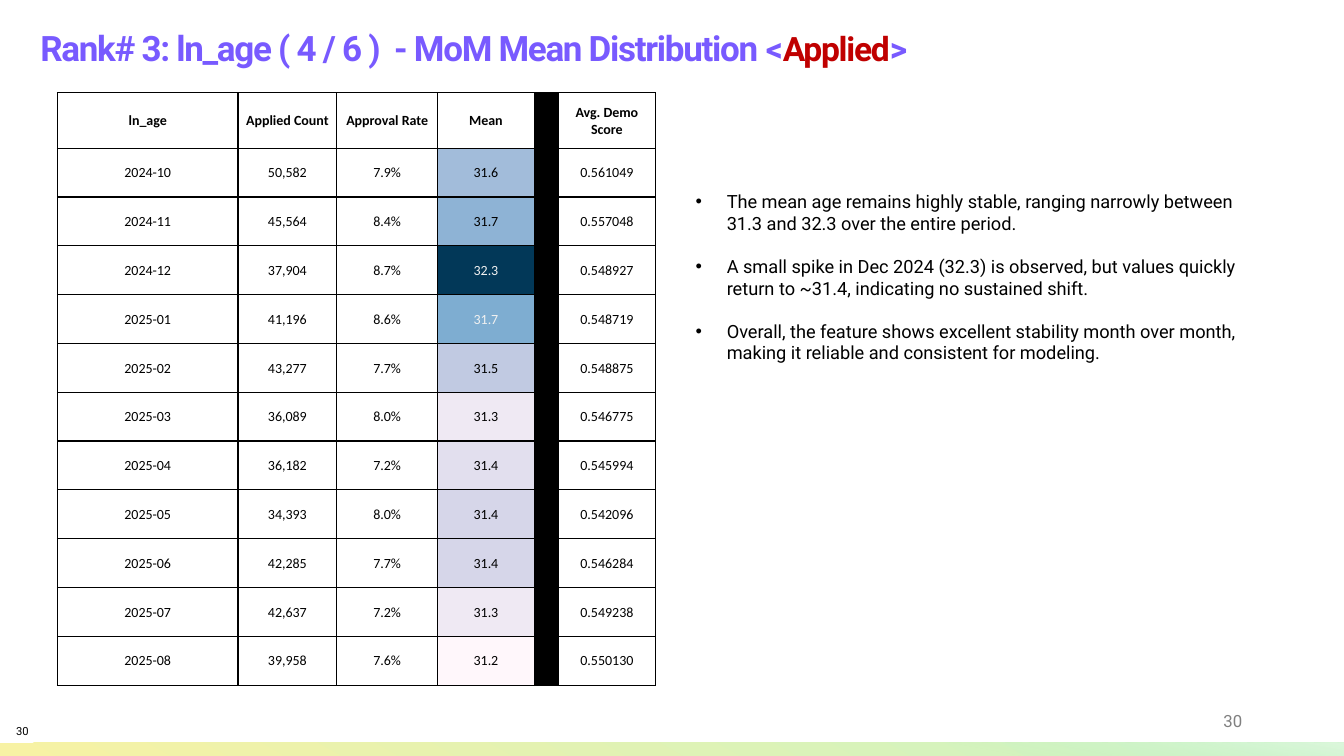
from lxml import etree
from pptx import Presentation
from pptx import util as u
from pptx.dml.color import RGBColor
from pptx.enum import shapes, text
from pptx.oxml.ns import qn

BLACK = RGBColor(0x00, 0x00, 0x00)
WHITE = RGBColor(0xFF, 0xFF, 0xFF)
GRAY = RGBColor(0x80, 0x80, 0x80)
PURPLE = RGBColor(0x78, 0x5A, 0xFF)
RED = RGBColor(0xC0, 0x00, 0x00)
PALE = RGBColor(0xF1, 0xF1, 0xF1)
YELLOW = RGBColor(0xF7, 0xF2, 0xA4)
GREEN = RGBColor(0xC7, 0xF3, 0xC6)
MINT = RGBColor(0xDD, 0xF8, 0xDD)

HEADERS = ["ln_age", "Applied Count", "Approval Rate", "Mean", "", "Avg. Demo Score"]
COL_WIDTHS = [1.79, 0.98, 1, 0.96, 0.14, 0.96]
MEAN_COL, DIVIDER_COL = 3, 4
# month, applied count, approval rate, mean, score, mean fill, mean font colour
MONTHS = [
    ("2024-10", "50,582", "7.9%", "31.6", "0.561049", "A2BCDA", BLACK),
    ("2024-11", "45,564", "8.4%", "31.7", "0.557048", "8EB3D5", BLACK),
    ("2024-12", "37,904", "8.7%", "32.3", "0.548927", "023858", PALE),
    ("2025-01", "41,196", "8.6%", "31.7", "0.548719", "7EADD1", PALE),
    ("2025-02", "43,277", "7.7%", "31.5", "0.548875", "C1CAE2", BLACK),
    ("2025-03", "36,089", "8.0%", "31.3", "0.546775", "EFE9F3", BLACK),
    ("2025-04", "36,182", "7.2%", "31.4", "0.545994", "E2DFEE", BLACK),
    ("2025-05", "34,393", "8.0%", "31.4", "0.542096", "D6D6E9", BLACK),
    ("2025-06", "42,285", "7.7%", "31.4", "0.546284", "D6D6E9", BLACK),
    ("2025-07", "42,637", "7.2%", "31.3", "0.549238", "EFE9F3", BLACK),
    ("2025-08", "39,958", "7.6%", "31.2", "0.550130", "FFF7FB", BLACK),
]
FINDINGS = [
    "The mean age remains highly stable, ranging narrowly between 31.3 and 32.3 "
    "over the entire period.",
    "A small spike in Dec 2024 (32.3) is observed, but values quickly return to "
    "~31.4, indicating no sustained shift.",
    "Overall, the feature shows excellent stability month over month, making it "
    "reliable and consistent for modeling.",
]


class SlideBuilder:
    font = "Roboto"
    table_font = "Calibri"

    def __init__(self, slide):
        self.s = slide

    def style(self, r, size, color, bold=False, font=None):
        r.font.name = font or self.font
        r.font.size = u.Pt(size)
        r.font.bold = bold
        r.font.color.rgb = color

    def rect(self, *box):
        sp = self.s.shapes.add_shape(shapes.MSO_SHAPE.RECTANGLE, *map(u.Inches, box))
        sp.shadow.inherit = False
        sp.line.fill.background()
        return sp

    def gradient_bar(self, box, stops, angle):
        sp = self.rect(*box)
        sp.rotation = 270
        sp.fill.gradient()
        sp.fill.gradient_angle = 360 - angle
        for stop, (position, color, opaque) in zip(sp.fill.gradient_stops, stops):
            stop.position = position
            stop.color.rgb = color
        for clr, (_, _, opaque) in zip(sp.element.xpath(".//a:gs/a:srgbClr"), stops):
            if not opaque:
                etree.SubElement(clr, qn("a:alpha"), val="0")

    def title(self, box, parts):
        sp = self.rect(*box)
        sp.fill.solid()
        sp.fill.fore_color.rgb = WHITE
        tf = sp.text_frame
        tf.margin_left = tf.margin_top = tf.margin_right = tf.margin_bottom = 0
        tf.vertical_anchor = text.MSO_ANCHOR.MIDDLE
        tf.auto_size = text.MSO_AUTO_SIZE.SHAPE_TO_FIT_TEXT
        p = tf.paragraphs[0]
        p.alignment = text.PP_ALIGN.LEFT
        p.line_spacing = 1.5
        for words, size, color in parts:
            r = p.add_run()
            r.text = words
            self.style(r, size, color, bold=True)
            r.font._element.set("spc", "-90")

    def text_box(self, *box):
        tf = self.s.shapes.add_textbox(*map(u.Inches, box)).text_frame
        tf.word_wrap = True
        return tf

    def label(self, box, words, size, color, align, anchor, inset=None):
        tf = self.text_box(*box)
        tf.vertical_anchor = anchor
        if inset is not None:
            tf.margin_left = tf.margin_top = tf.margin_right = tf.margin_bottom = inset
        p = tf.paragraphs[0]
        p.text = words
        p.alignment = align
        self.style(p.runs[0], size, color)

    def bullets(self, box, items, size, gap):
        tf = self.text_box(*box)
        tf.auto_size = text.MSO_AUTO_SIZE.SHAPE_TO_FIT_TEXT
        for i, item in enumerate(items):
            p = tf.add_paragraph() if i else tf.paragraphs[0]
            p.text = item
            pPr = p._p.get_or_add_pPr()
            pPr.set("marL", str(u.Inches(0.31)))
            pPr.set("indent", str(u.Inches(-0.31)))
            etree.SubElement(pPr, qn("a:buFont"), typeface="Arial")
            etree.SubElement(pPr, qn("a:buChar"), char="•")
            if i:
                p.space_before = u.Pt(gap)
            self.style(p.runs[0], size, BLACK)

    def cell(self, c, words, color=BLACK, bold=False, fill=None):
        # Borders come before the fill in the cell properties
        tcPr = c._tc.get_or_add_tcPr()
        for side in ("lnL", "lnR", "lnT", "lnB"):
            ln = etree.SubElement(tcPr, qn("a:" + side), w=str(u.Pt(1)))
            solid = etree.SubElement(ln, qn("a:solidFill"))
            etree.SubElement(solid, qn("a:srgbClr"), val=str(BLACK))
        if fill is None:
            c.fill.background()
        else:
            c.fill.solid()
            c.fill.fore_color.rgb = fill
        if not words:
            return
        c.margin_left = c.margin_top = c.margin_right = u.Inches(0.01)
        c.margin_bottom = 0
        c.vertical_anchor = text.MSO_ANCHOR.MIDDLE
        p = c.text_frame.paragraphs[0]
        p.text = words
        p.alignment = text.PP_ALIGN.CENTER
        self.style(p.runs[0], 10, color, bold, self.table_font)

    def month_table(self, box, header_height):
        tbl = self.s.shapes.add_table(
            len(MONTHS) + 1, len(HEADERS), *map(u.Inches, box)).table
        tbl.first_row = tbl.horz_banding = False
        for col, width in zip(tbl.columns, COL_WIDTHS):
            col.width = u.Inches(width)
        for row in tbl.rows:
            row.height = u.Inches((box[3] - header_height) / len(MONTHS))
        tbl.rows[0].height = u.Inches(header_height)
        for j, words in enumerate(HEADERS):
            self.cell(tbl.cell(0, j), words, bold=True,
                      fill=BLACK if j == DIVIDER_COL else None)
        for i, (*values, score, shade, color) in enumerate(MONTHS, 1):
            fills = {MEAN_COL: RGBColor.from_string(shade), DIVIDER_COL: BLACK}
            for j, words in enumerate([*values, "", score]):
                self.cell(tbl.cell(i, j), words, color if j == MEAN_COL else BLACK,
                          fill=fills.get(j))


def main():
    prs = Presentation()
    prs.slide_width, prs.slide_height = u.Inches(13.33), u.Inches(7.5)
    b = SlideBuilder(prs.slides.add_slide(prs.slide_layouts[6]))

    # Page number and footer band
    b.label((9.42, 6.95, 3, 0.4), "30", 12, GRAY,
            text.PP_ALIGN.RIGHT, text.MSO_ANCHOR.MIDDLE)
    b.gradient_bar((6.6, 0.77, 0.13, 13.33),
                   [(0, YELLOW, True), (1, GREEN, True)], 30)
    b.gradient_bar((11.2, 5.37, 0.13, 4.13),
                   [(0.19, GREEN, False), (1, MINT, True)], 10)

    # Title
    b.title((0.4, 0.08, 12.28, 0.57), [
        ("Rank# 3: ln_age ( 4 / 6 )  - MoM Mean Distribution ", 25, PURPLE),
        ("<", 24, PURPLE),
        ("Applied", 24, RED),
        (">", 24, PURPLE),
    ])
    b.label((0.16, 7.19, 2.92, 0.25), "30", 8, BLACK,
            text.PP_ALIGN.LEFT, text.MSO_ANCHOR.TOP, inset=0)

    # Findings and monthly table
    b.bullets((6.8, 1.84, 5.61, 1.85), FINDINGS, 13, 15)
    b.month_table((0.57, 0.92, 5.81, 5.88), 0.55)
    prs.save("out.pptx")


if __name__ == "__main__":
    main()
